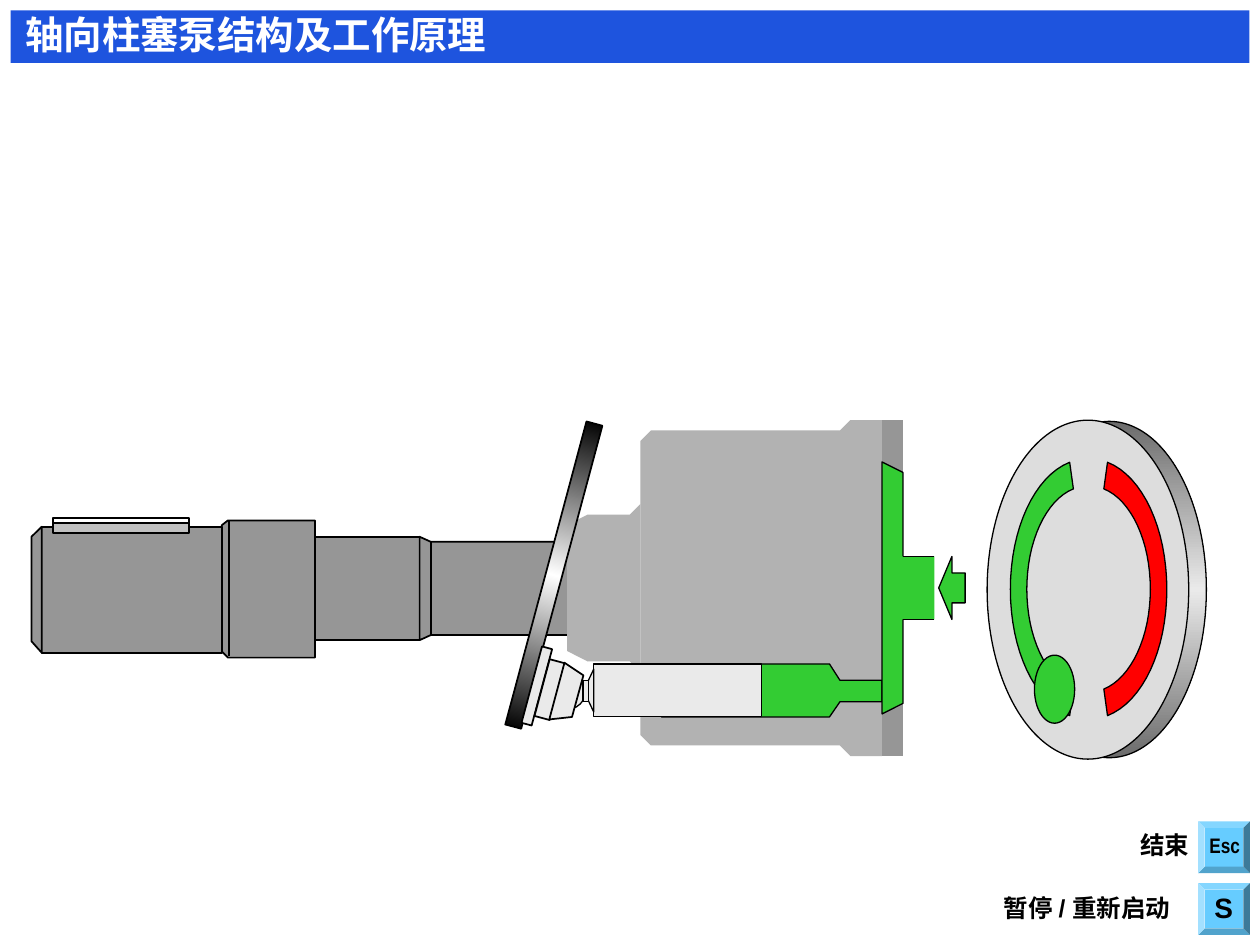
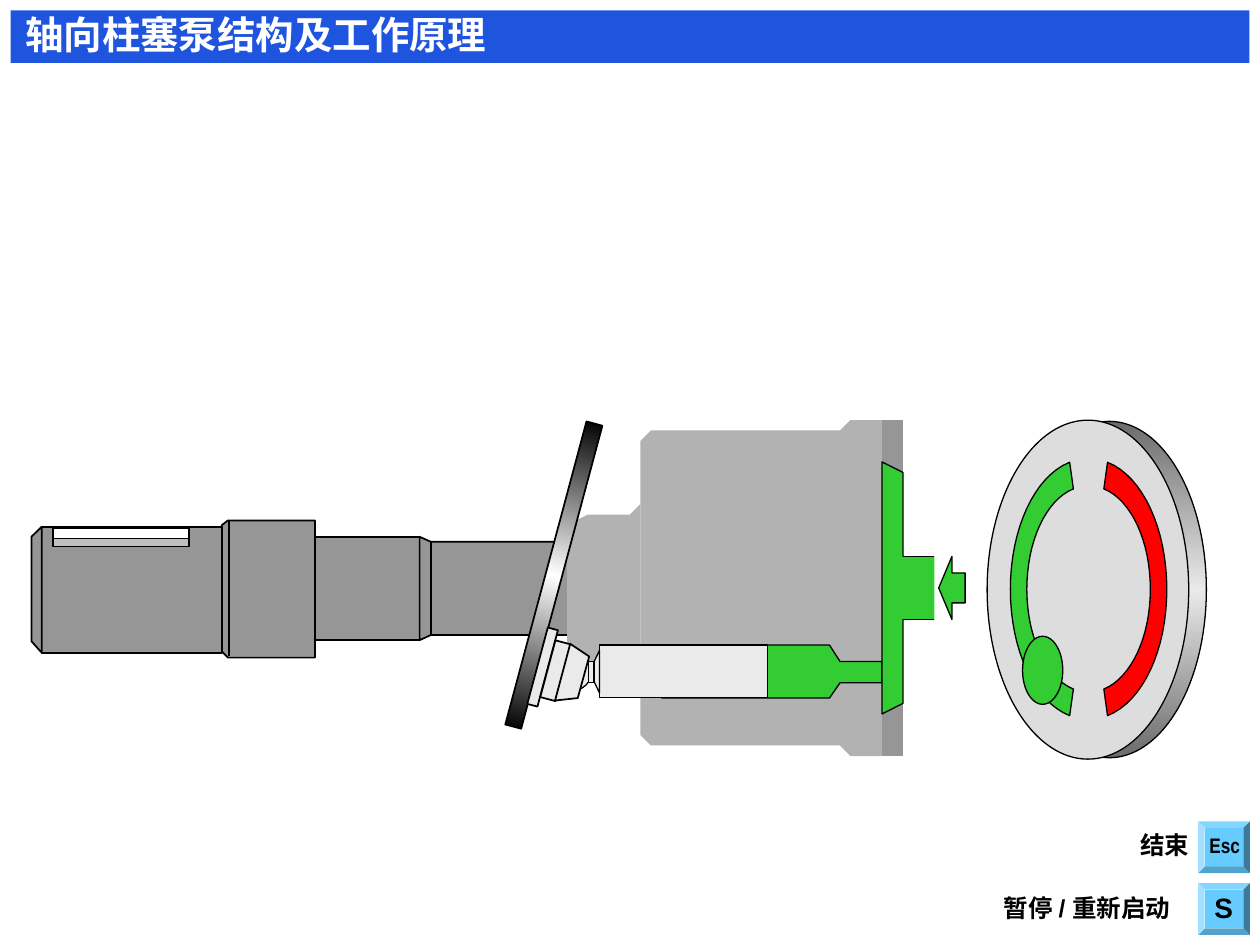
from copy import deepcopy

from pptx import Presentation
from pptx.dml.color import RGBColor
from pptx.enum import shapes, text
from pptx.oxml.ns import qn
from pptx.util import Pt

BLUE = RGBColor(0x1E, 0x54, 0xDE)
KEY_BLUE = RGBColor(0x66, 0xCC, 0xFF)
WHITE = RGBColor(0xFF, 0xFF, 0xFF)
BLACK = RGBColor(0, 0, 0)
STEEL = RGBColor(0x96, 0x96, 0x96)
CASING_GREY = RGBColor(0xB2, 0xB2, 0xB2)
DISC_GREY = RGBColor(0xDD, 0xDD, 0xDD)
PISTON_GREY = RGBColor(0xEA, 0xEA, 0xEA)
RIM_GREY = RGBColor(0x6C, 0x6C, 0x6C)
KEY_GREY = RGBColor(0xC0, 0xC0, 0xC0)
GREEN = RGBColor(0x33, 0xCC, 0x33)
RED = RGBColor(0xFF, 0, 0)

MSO = shapes.MSO_SHAPE
RECT, OVAL = MSO.RECTANGLE, MSO.OVAL
THIN, MEDIUM = 0.75, 1

TITLE = "轴向柱塞泵结构及工作原理"
TITLE_BOX = (7.2, 2.9, 278, 33.8)
BAND = (6, 6, 708, 30)
BUTTONS = [(684.7, 469.4), (684.7, 504.7)]
BUTTON_SIZE = 29.5
LABELS = [
    ("Esc", (684, 472.3, 31.7, 21.6), 12, "Arial Narrow", True),
    ("S", (686.9, 505.4, 25.2, 26.6), 16, "Arial", True),
    ("结束", (644.4, 470.9, 42.5, 24.5), 14, "Arial", False),
    ("暂停 / 重新启动", (566.6, 506.9, 116, 24.5), 14, "Arial", False),
]

SLOT_AXIS = 622.1
SLOT = [
    [(613.4, 393.8), (597.6, 387.4), (586.8, 363.6), (586.8, 336.8)],
    [(586.8, 336.8), (586.8, 309.6), (597.6, 285.8), (613.4, 279.4)],
    [(611.3, 264.2), (591.1, 272.2), (577.4, 302.4), (577.4, 336.8)],
    [(577.4, 336.8), (577.4, 371.5), (591.1, 401), (611.3, 409)],
]


def bezier(p0, p1, p2, p3, steps=16):
    for i in range(steps + 1):
        t = i / steps
        weights = ((1 - t) ** 3, 3 * t * (1 - t) ** 2, 3 * t * t * (1 - t), t ** 3)
        yield tuple(sum(w * p[k] for w, p in zip(weights, (p0, p1, p2, p3)))
                    for k in (0, 1))


INTAKE_SLOT = [point for curve in SLOT for point in bezier(*curve)]
OUTLET_SLOT = [(2 * SLOT_AXIS - x, y) for x, y in INTAKE_SLOT]

VALVE_DISC = [
    (OVAL, (578.5, 240.8, 110.9, 192.2), [RIM_GREY, PISTON_GREY, RIM_GREY], THIN),
    (OVAL, (564.1, 240.1, 115.2, 193.7), DISC_GREY, THIN),
    ("outline", INTAKE_SLOT, GREEN, THIN),
    ("outline", OUTLET_SLOT, RED, THIN),
]
CYLINDER_PORT = [(OVAL, (591.1, 374.4, 23, 38.9), GREEN, THIN)]
SHAFT = [
    (RECT, (179.3, 306.7, 60.5, 59), STEEL, MEDIUM),
    ("outline", [(126.7, 300.2), (130.3, 297.4), (180, 297.4), (180, 375.8),
                 (130.3, 375.8), (126.7, 372.2)], STEEL, MEDIUM),
    (RECT, (23.8, 301, 103, 72), STEEL, MEDIUM),
    ("outline", [(23.8, 301), (18, 306.7), (18, 366.5), (23.8, 373)], STEEL, MEDIUM),
    ("line", (131, 297.4, 131, 375.1), None, MEDIUM),
    ("outline", [(239.8, 306.7), (246.2, 309.6), (331.9, 309.6), (338.4, 306.7),
                 (338.4, 365.8), (331.9, 362.9), (246.2, 362.9), (239.8, 365.8)],
     STEEL, MEDIUM),
    ("line", (246.2, 309.6, 246.2, 362.9), None, MEDIUM),
    ("line", (332.6, 309.6, 332.6, 362.9), None, MEDIUM),
]
END_PLATE = [(RECT, (504, 240, 12, 192), STEEL, None)]
CASING = [
    ("outline", [(504, 240), (486, 240), (480, 246), (372, 246), (366, 252),
                 (366, 420), (372, 426), (480, 426), (486, 432), (504, 432)],
     CASING_GREY, None),
    ("outline", [(366, 288), (360, 294), (360, 378), (366, 384)], CASING_GREY, None),
    (RECT, (336, 294, 24, 84), CASING_GREY, None),
    ("outline", [(336, 294), (324, 300), (324, 372), (336, 378)], CASING_GREY, None),
]
SWASH_PLATE = [(RECT, (311.8, 239, 9.4, 179.3), [BLACK, WHITE, BLACK], MEDIUM, 15)]
CHAMBER = [
    ("outline", [(378, 379.4), (474, 379.4), (480, 388.8), (504, 388.8),
                 (504, 401), (480, 401), (474, 409.7), (378, 409.7)], GREEN, THIN),
]
PISTON = [
    (OVAL, (313.2, 383.8, 21.6, 21.6), PISTON_GREY, THIN),
    (RECT, (339.3, 379.4, 96, 30.2), PISTON_GREY, THIN),
    ("outline", [(339.3, 382.4), (336.2, 388.9), (336.2, 400.4), (339.3, 406.9)],
     PISTON_GREY, THIN),
    (RECT, (333.2, 388.8, 3, 12), PISTON_GREY, THIN),
    (RECT, (303.8, 369.4, 6, 45.2), PISTON_GREY, MEDIUM, 15),
    (RECT, (309.6, 377.3, 9, 33.6), PISTON_GREY, MEDIUM, 15),
    ("outline", [(313.9, 411.1), (326.9, 409.7), (333.4, 385.9), (322.6, 378.7)],
     PISTON_GREY, MEDIUM),
]
INTAKE = [
    ("outline", [(504, 408), (504, 264), (516, 270), (516, 402)], GREEN, THIN),
    (RECT, (510, 318, 24, 36), GREEN, None),
    ("line", (516, 318, 534, 318), None, THIN),
    ("line", (516, 354, 534, 354), None, THIN),
]
FLOW_ARROW = [(MSO.LEFT_ARROW, (536.4, 318, 15.1, 36), GREEN, THIN)]

STATES = [
    {"piston": (0, 0), "chamber": (0, 0), "port": (0, 0),
     "key": [(WHITE, 295.9, 3), (KEY_GREY, 298.8, 6)]},
    {"piston": (3.3, -10.8), "chamber": (0, -10.8), "port": (-6.8, -10.8),
     "key": [(KEY_GREY, 307.4, 5), (WHITE, 301.7, 6)]},
]


def fill_shape(sp, fill):
    if not isinstance(fill, list):
        sp.fill.solid()
        sp.fill.fore_color.rgb = fill
        return
    sp.fill.gradient()
    sp.fill.gradient_angle = 90
    stops = next(sp.element.iter(qn("a:gsLst")))
    stops.insert(1, deepcopy(stops[0]))
    for i, (stop, color) in enumerate(zip(sp.fill.gradient_stops, fill)):
        stop.position = i / 2
        stop.color.rgb = color


def draw(target, parts, shift=(0, 0)):
    dx, dy = shift
    for kind, geometry, fill, weight, *rotation in parts:
        if kind == "line":
            ends = (Pt(v) for v in geometry)
            sp = target.add_connector(shapes.MSO_CONNECTOR.STRAIGHT, *ends)
            sp.line.width = Pt(weight)
            sp.element.spPr.append(sp.element.makeelement(qn("a:effectLst"), {}))
        else:
            if kind == "outline":
                points = [(Pt(x + dx), Pt(y + dy)) for x, y in geometry]
                builder = target.build_freeform(*points[0])
                builder.add_line_segments(points[1:], close=True)
                sp = builder.convert_to_shape()
            else:
                x, y, w, h = geometry
                sp = target.add_shape(kind, Pt(x + dx), Pt(y + dy), Pt(w), Pt(h))
            sp.shadow.inherit = False
            fill_shape(sp, fill)
            if rotation:
                sp.rotation = rotation[0]
        if weight:
            sp.line.color.rgb = BLACK
            sp.line.width = Pt(weight)
        else:
            sp.line.fill.background()
    return sp


def draw_group(slide, parts, shift=(0, 0)):
    draw(slide.shapes.add_group_shape().shapes, parts, shift)


def write(sp, words, size, font, color, shadowed):
    tf = sp.text_frame
    tf.word_wrap = False
    tf.auto_size = text.MSO_AUTO_SIZE.NONE
    tf.vertical_anchor = text.MSO_ANCHOR.TOP
    p = tf.paragraphs[0]
    p.alignment = text.PP_ALIGN.LEFT
    r = p.add_run()
    r.text = words
    r.font.size, r.font.name, r.font.bold = Pt(size), font, True
    r.font.color.rgb = color
    if shadowed:
        fill = next(sp.element.iter(qn("a:solidFill")))
        effects = fill.makeelement(qn("a:effectLst"), {})
        shadow = effects.makeelement(
            qn("a:outerShdw"), {"dist": "17961", "dir": "2700000"})
        shade = BLACK if color == WHITE else KEY_GREY
        shadow.append(shadow.makeelement(qn("a:srgbClr"), {"val": str(shade)}))
        effects.append(shadow)
        fill.addnext(effects)


def place(sp, box):
    sp.left, sp.top, sp.width, sp.height = (Pt(v) for v in box)


def furnish_layout(layout, slide):
    place(layout.placeholders[0], TITLE_BOX)
    furniture = [draw(slide.shapes, [(RECT, BAND, BLUE, None)])]
    for x, y in BUTTONS:
        box = (x, y, BUTTON_SIZE, BUTTON_SIZE)
        furniture.append(draw(slide.shapes, [(MSO.BEVEL, box, KEY_BLUE, None)]))
        furniture[-1].adjustments[0] = 0.125
    for words, box, size, font, shadowed in LABELS:
        sp = slide.shapes.add_textbox(*(Pt(v) for v in box))
        write(sp, words, size, font, BLACK, shadowed)
        furniture.append(sp)
    for sp in furniture:
        layout.shapes.element.append(sp.element)


def build_pump(slide, state):
    write(slide.shapes.title, TITLE, 22, "Arial Narrow", WHITE, True)
    draw(slide.shapes, VALVE_DISC)
    draw(slide.shapes, CYLINDER_PORT, state["port"])
    draw(slide.shapes, SHAFT)
    draw(slide.shapes, END_PLATE)
    draw_group(slide, CASING)
    draw(slide.shapes, SWASH_PLATE)
    draw(slide.shapes, CHAMBER, state["chamber"])
    draw_group(slide, PISTON, state["piston"])
    draw(slide.shapes, INTAKE)
    draw_group(slide, [(RECT, (30.2, top, 78, height), color, MEDIUM)
                       for color, top, height in state["key"]])
    arrow = draw(slide.shapes, FLOW_ARROW)
    arrow.adjustments[0], arrow.adjustments[1] = 0.475, 0.5


def main():
    prs = Presentation()
    prs.slide_width, prs.slide_height = Pt(720), Pt(540)
    layout = prs.slide_layouts[5]
    for i, state in enumerate(STATES):
        slide = prs.slides.add_slide(layout)
        if i == 0:
            furnish_layout(layout, slide)
        build_pump(slide, state)
    prs.save("out.pptx")


if __name__ == "__main__":
    main()
